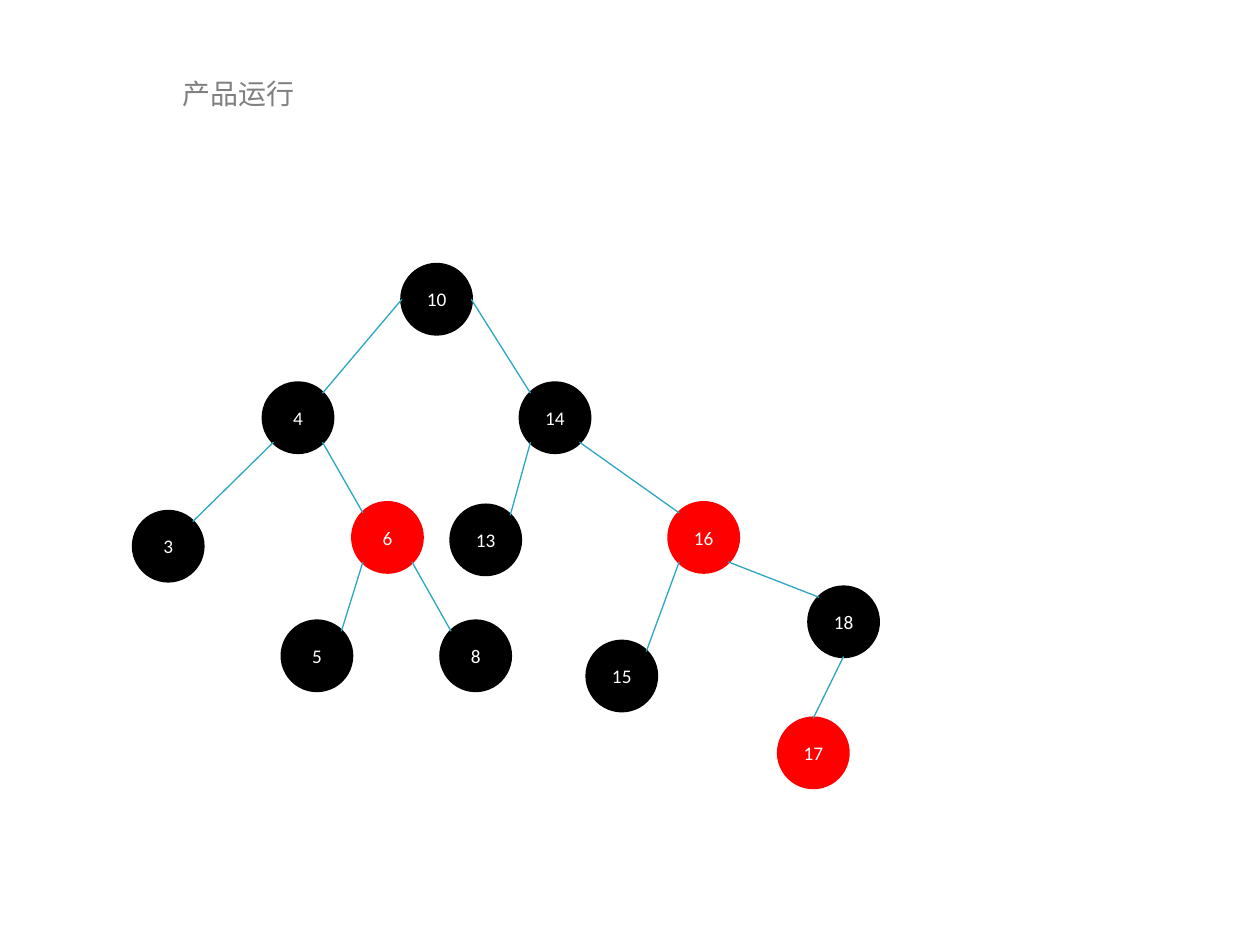
import math
from lxml import etree
from pptx import Presentation
from pptx import util as u
from pptx.dml import color
from pptx.enum import shapes, text
from pptx.oxml import ns

COLORS = {"black": "000000", "red": "FF0000", "edge": "2BA7C3",
          "title": "808080", "label": "FFFFFF"}
TITLE = "产品运行"
DIAMETER = 0.55
NODES = {
    10: (3.19, 2.1, "black"),
    4: (2.09, 3.04, "black"),
    3: (1.06, 4.06, "black"),
    6: (2.8, 3.99, "red"),
    5: (2.24, 4.93, "black"),
    8: (3.5, 4.93, "black"),
    14: (4.13, 3.04, "black"),
    13: (3.58, 4.01, "black"),
    16: (5.31, 3.99, "red"),
    15: (4.66, 5.09, "black"),
    18: (6.42, 4.66, "black"),
    17: (6.18, 5.7, "red"),
}
CHILDREN = {10: (4, 14), 4: (3, 6), 6: (5, 8), 14: (13, 16), 16: (15, 18), 18: (17,)}
ANGLES = {"right": 0, "bottom right": 45, "bottom": 90, "bottom left": 135,
          "left": 180, "top left": 225, "top": 270, "top right": 315}
LEFT_CHILD = ("bottom left", "top right")
RIGHT_CHILD = ("bottom right", "top left")
SPECIAL_SIDES = {(10, 4): ("left", "top right"), (10, 14): ("right", "top left"),
                 (18, 17): ("bottom", "top")}


def rgb(name):
    return color.RGBColor.from_string(COLORS[name])


def apply(target, values):
    for name, value in values.items():
        setattr(target, name, value)


def write(box, words, size, font, tint, align):
    para = box.text_frame.paragraphs[0]
    para.alignment = align
    span = para.add_run()
    span.text = words
    apply(span.font, {"size": u.Pt(size), "name": font})
    span.font.color.rgb = rgb(tint)
    return span


def rim_point(node, side):
    left, top, _ = NODES[node]
    radius = DIAMETER / 2
    angle = math.radians(ANGLES[side])
    return (u.Inches(left + radius + radius * math.cos(angle)),
            u.Inches(top + radius + radius * math.sin(angle)))


def add_title(page):
    box = page.shapes.add_textbox(*map(u.Inches, (1.38, 0.57, 1.96, 0.34)))
    apply(box.text_frame, {
        "word_wrap": True,
        "margin_left": u.Inches(0.07), "margin_right": u.Inches(0.07),
        "margin_top": u.Inches(0.04), "margin_bottom": u.Inches(0.04),
        "auto_size": text.MSO_AUTO_SIZE.SHAPE_TO_FIT_TEXT})
    font = "Noto Sans CJK SC"
    span = write(box, TITLE, 16, font, "title", text.PP_ALIGN.LEFT)
    east_asian = etree.SubElement(span.font._element, ns.qn("a:ea"))
    east_asian.set("typeface", font)


def add_node(page, value, left, top, tint):
    circle = page.shapes.add_shape(
        shapes.MSO_SHAPE.OVAL, *map(u.Inches, (left, top, DIAMETER, DIAMETER)))
    circle.shadow.inherit = False
    circle.fill.solid()
    circle.fill.fore_color.rgb = rgb(tint)
    circle.line.color.rgb = rgb(tint)
    circle.line.width = u.Pt(2)
    apply(circle.text_frame, {"word_wrap": True,
                              "vertical_anchor": text.MSO_ANCHOR.MIDDLE})
    write(circle, str(value), 11, "Calibri", "label", text.PP_ALIGN.CENTER)


def add_edge(page, parent, child):
    usual = LEFT_CHILD if child < parent else RIGHT_CHILD
    start, end = SPECIAL_SIDES.get((parent, child), usual)
    edge = page.shapes.add_connector(
        shapes.MSO_CONNECTOR.STRAIGHT, *rim_point(parent, start), *rim_point(child, end))
    edge.line.color.rgb = rgb("edge")
    edge.line.width = u.Pt(0.75)
    etree.SubElement(edge._element.spPr, ns.qn("a:effectLst"))


deck = Presentation()
apply(deck, {"slide_width": u.Inches(10), "slide_height": u.Inches(7.5)})
page = deck.slides.add_slide(deck.slide_layouts[6])
add_title(page)
for value, place in NODES.items():
    add_node(page, value, *place)
for parent, children in CHILDREN.items():
    for child in children:
        add_edge(page, parent, child)
deck.save("out.pptx")
